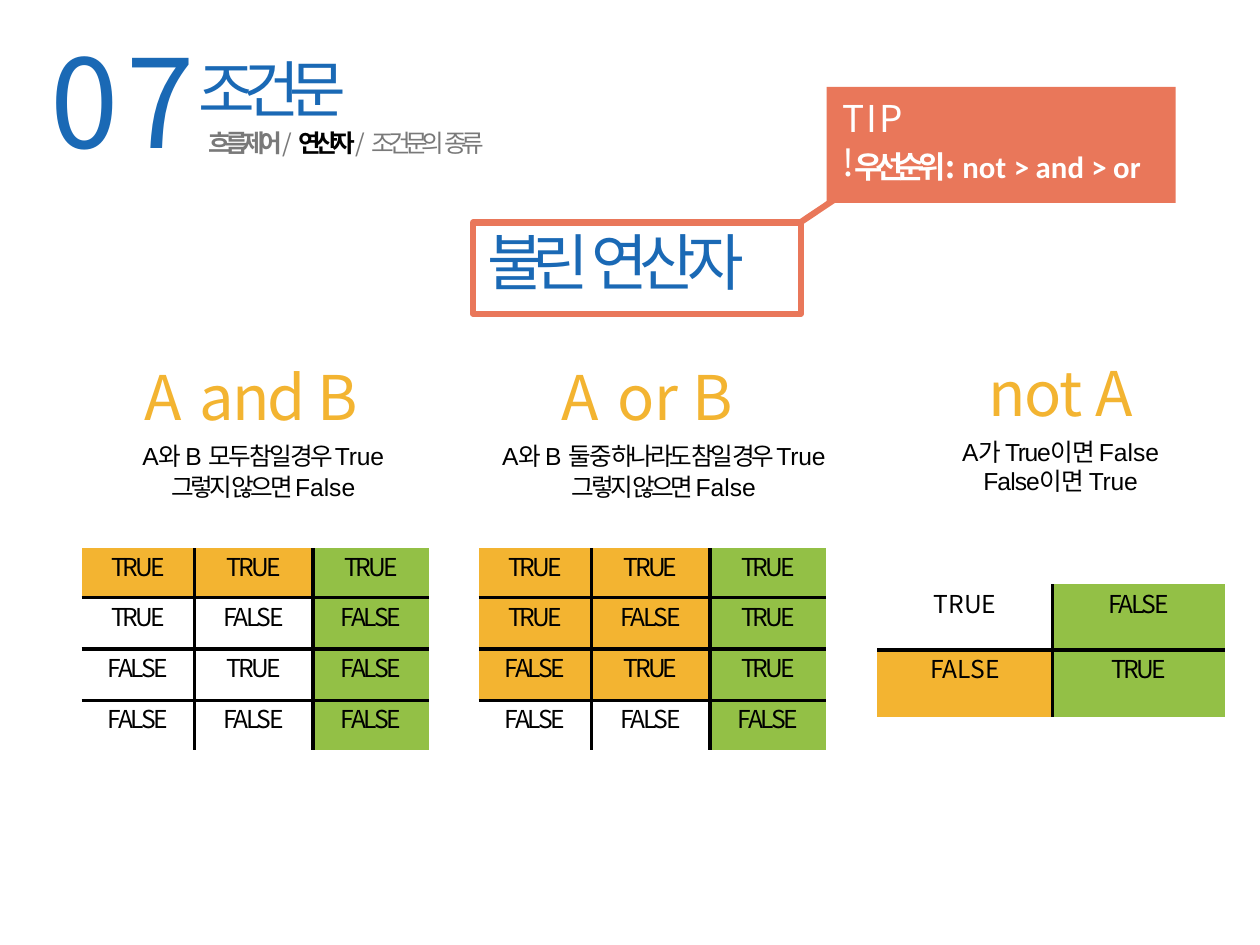
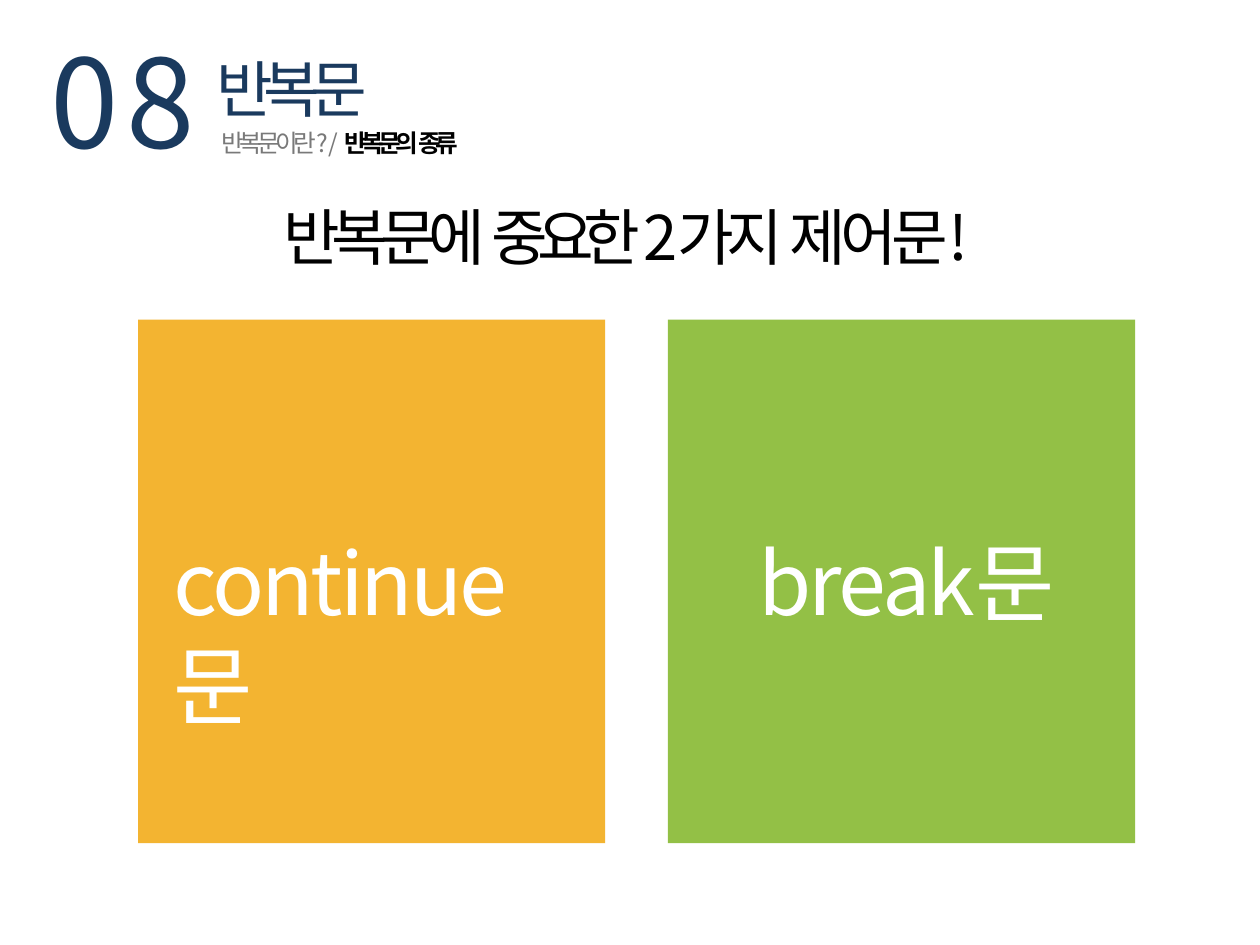
from dataclasses import dataclass
from itertools import product

from lxml.etree import SubElement
from pptx import Presentation
from pptx.dml.color import RGBColor
from pptx.enum.shapes import MSO_CONNECTOR, MSO_SHAPE
from pptx.enum.text import MSO_ANCHOR, MSO_AUTO_SIZE, PP_ALIGN
from pptx.oxml.ns import qn
from pptx.util import Cm, Pt


@dataclass(frozen=True)
class Theme:
    blue: str = "1A69B5"
    navy: str = "1A3A5E"
    orange: str = "F3B431"
    green: str = "93C046"
    coral: str = "E9775A"
    gray: str = "797979"
    black: str = "000000"
    white: str = "FFFFFF"
    font: str = "Noto Sans CJK KR"
    latin_font: str = "Arial"
    tip_font: str = "Calibri"
    number_size: int = 100
    card_size: int = 70
    heading_size: int = 50
    tip_size: int = 30
    priority_size: int = 25
    body_size: int = 20
    rule_width: int = 3
    frame_width: int = 5


THEME = Theme()
LATIN = {"font": THEME.latin_font}
CALIBRI = {"font": THEME.tip_font}
CURRENT = {"color": THEME.black, "bold": True}


def rgb(color):
    return RGBColor.from_string(color)


def write(paragraph, text, *, size=THEME.body_size, color=THEME.black,
          font=THEME.font, spacing=0, bold=False):
    """Add a run; spacing is the character spacing in points."""
    run = paragraph.add_run()
    run.text = text
    run.font.size = Pt(size)
    run.font.bold = bold
    run.font.color.rgb = rgb(color)
    run.font.name = font
    properties = run._r.get_or_add_rPr()
    properties.set("spc", str(round(spacing * 100)))
    SubElement(properties, qn("a:ea"), typeface=font)


def write_runs(paragraph, runs, **base):
    """Write (text, spacing[, changed format]) runs over a base format."""
    for text, spacing, *changes in runs:
        run_format = {**base, **(changes[0] if changes else {})}
        write(paragraph, text, spacing=spacing, **run_format)


def prepare_frame(frame, left=0, top=0, right=0):
    """Set the insets in cm and return the first paragraph."""
    frame.word_wrap = True
    frame.auto_size = MSO_AUTO_SIZE.NONE
    frame.vertical_anchor = MSO_ANCHOR.TOP
    frame.margin_left, frame.margin_top = Cm(left), Cm(top)
    frame.margin_right, frame.margin_bottom = Cm(right), Cm(0)
    paragraph = frame.paragraphs[0]
    paragraph.alignment = PP_ALIGN.LEFT
    return paragraph


def add_text(slide, left, top, width, height, runs, **base):
    box = slide.shapes.add_textbox(Cm(left), Cm(top), Cm(width), Cm(height))
    write_runs(prepare_frame(box.text_frame), runs, **base)
    return box.text_frame


def add_panel(slide, left, top, width, height, fill=None, line=None):
    panel = slide.shapes.add_shape(
        MSO_SHAPE.RECTANGLE, Cm(left), Cm(top), Cm(width), Cm(height))
    panel.shadow.inherit = False
    if fill:
        panel.fill.solid()
        panel.fill.fore_color.rgb = rgb(fill)
    else:
        panel.fill.background()
    if line:
        panel.line.color.rgb = rgb(line)
        panel.line.width = Pt(THEME.frame_width)
    else:
        panel.line.fill.background()
    return panel


def add_callout_line(slide, start, end):
    line = slide.shapes.add_connector(
        MSO_CONNECTOR.STRAIGHT, *(Cm(value) for value in start + end))
    line.line.color.rgb = rgb(THEME.coral)
    line.line.width = Pt(THEME.frame_width)
    SubElement(line._element.spPr, qn("a:effectLst"))


def add_section_slide(deck, digits, title, crumbs, color, left, crumb_left,
                      crumb_width, title_spacing):
    """Start a slide with its section number, title and breadcrumb."""
    slide = deck.slides.add_slide(deck.slide_layouts[5])
    heading = slide.shapes.title
    heading.left, heading.top = Cm(left), Cm(1.45)
    heading.width, heading.height = Cm(8), Cm(2.15)
    write(prepare_frame(heading.text_frame), title, size=THEME.heading_size,
          color=color, spacing=title_spacing)
    add_text(slide, crumb_left, 3.66, crumb_width, 1.8, crumbs,
             color=THEME.gray)
    add_text(slide, 1.45, 0.74, 4.17, 4.62, digits,
             size=THEME.number_size, color=color)
    return slide


def add_operator(slide, left, top, width, heading, lines, indent=None):
    """Add an operator's name over its rule; no indent centres the name."""
    frame = add_text(slide, left, top, width, 4.15, heading,
                     size=THEME.heading_size, color=THEME.orange)
    name = frame.paragraphs[0]
    if indent is None:
        name.alignment = PP_ALIGN.CENTER
    else:
        name._p.get_or_add_pPr().set("marL", str(Cm(indent)))
    for space, runs in zip((6, 1), lines):
        paragraph = frame.add_paragraph()
        paragraph.alignment = PP_ALIGN.CENTER
        paragraph.space_before = Pt(space)
        write_runs(paragraph, runs)


def set_borders(cell, inner_sides):
    """Rule the inner sides of a cell and leave its outer sides open."""
    properties = cell._tc.get_or_add_tcPr()
    for side in "LRTB":
        line = SubElement(properties, qn(f"a:ln{side}"),
                          w=str(Pt(THEME.rule_width)))
        if side in inner_sides:
            fill = SubElement(line, qn("a:solidFill"))
            SubElement(fill, qn("a:srgbClr"), val=THEME.black)
        else:
            SubElement(line, qn("a:noFill"))


def add_truth_table(slide, left, top, widths, heights, operator,
                    space_before=6, input_spacing=None):
    """Tabulate operator; inputs that give TRUE are orange, results green."""
    table = slide.shapes.add_table(
        len(heights), len(widths), Cm(left), Cm(top),
        Cm(sum(widths)), Cm(sum(heights))).table
    table.first_row = table.horz_banding = False
    for column, width in zip(table.columns, widths):
        column.width = Cm(width)
    for row, height in zip(table.rows, heights):
        row.height = Cm(height)
    last_row, last_column = len(heights) - 1, len(widths) - 1
    for r, inputs in enumerate(product((True, False), repeat=last_column)):
        result = operator(*inputs)
        for c, value in enumerate((*inputs, result)):
            cell = table.cell(r, c)
            set_borders(cell, {side for side, inner in (
                ("L", c > 0), ("R", c < last_column),
                ("T", r > 0), ("B", r < last_row)) if inner})
            if c == last_column or result:
                cell.fill.solid()
                cell.fill.fore_color.rgb = rgb(
                    THEME.green if c == last_column else THEME.orange)
            else:
                cell.fill.background()
            cell.margin_left = cell.margin_right = 0
            cell.margin_top = cell.margin_bottom = 0
            paragraph = cell.text_frame.paragraphs[0]
            paragraph.alignment = PP_ALIGN.CENTER
            paragraph.space_before = Pt(space_before)
            spacing = -2.4 if value else -1.9
            if c < last_column and input_spacing is not None:
                spacing = input_spacing
            write(paragraph, str(value).upper(), spacing=spacing)


def add_tip(slide):
    add_panel(slide, 23.7, 2.49, 10, 3.33, fill=THEME.coral)
    add_text(slide, 24.15, 2.74, 2.1, 1.42, [("TIP!", 1.9)],
             size=THEME.tip_size, color=THEME.white)
    add_text(slide, 24.5, 4.24, 8.7, 1.12, [
        ("우선순위 ", -6), (": ", 0.1), ("not ", 0.2, CALIBRI),
        ("> ", -0.3, CALIBRI), ("and ", 0.1, CALIBRI),
        ("> ", -0.3, CALIBRI), ("or", 0.1, CALIBRI)],
        size=THEME.priority_size, color=THEME.white, bold=True)
    add_callout_line(slide, (22.91, 6.4), (24.43, 5.38))


def build_operators(deck):
    slide = add_section_slide(
        deck, [("0", 5.9), ("7", 0.2)], "조건문",
        [("흐름제어 ", -4.5, {"bold": True}), ("/ ", 0.2),
         ("연산자 ", -4.3, CURRENT), ("/ ", 0.2),
         ("조건문의 ", -4.8), ("종류", -4.6)],
        THEME.blue, left=5.69, crumb_left=5.97, crumb_width=8.1,
        title_spacing=-9.1)
    topic = add_panel(slide, 13.56, 6.38, 9.4, 2.62, line=THEME.coral)
    write_runs(prepare_frame(topic.text_frame, left=0.41, top=0.05),
               [("불린 ", -9.3), ("연산자", -7.1)],
               size=THEME.heading_size, color=THEME.blue)
    add_tip(slide)

    subject = [("A", -1.4, LATIN), ("와 ", -1.4), ("B ", 0, LATIN)]
    true = ("True", -0.2, LATIN)
    otherwise = [("그렇지 않으면 ", -2.7), ("False", 0, LATIN)]
    add_operator(slide, 3.71, 10.31, 7.67,
                 [("A ", 1.7), ("and ", -1.8), ("B", 3)],
                 [[*subject, ("모두 참일 경우 ", -2.7), true], otherwise],
                 indent=0.43)
    add_operator(slide, 13.77, 10.31, 10.52,
                 [("A ", 1.7), ("or ", 0.1), ("B", 3)],
                 [[*subject, ("둘 중 하나라도 참일 경우 ", -2.7), true],
                  otherwise],
                 indent=2.34)
    add_operator(slide, 27.46, 10.19, 5.89, [("not ", -0.9), ("A", 1.7)],
                 [[("A", -1.4, LATIN), ("가 ", -1.4), ("True", -1.1, LATIN),
                   ("이면 ", -1.1), ("False ", 0, LATIN),
                   ("False", -0.8, LATIN), ("이면 ", -0.8), true]])

    widths, heights = (3.23, 3.4, 3.33), (1.42, 1.47, 1.47, 1.42)
    add_truth_table(slide, 2.34, 15.72, widths, heights,
                    lambda a, b: a and b)
    add_truth_table(slide, 13.72, 15.72, widths, heights,
                    lambda a, b: a or b)
    add_truth_table(slide, 25.15, 16.76, (5.03, 4.93), (1.88, 1.93),
                    lambda a: not a, space_before=13, input_spacing=0)


def build_loop_controls(deck):
    slide = add_section_slide(
        deck, [("0", 5.9), ("8", 1)], "반복문",
        [("반복문이란? ", -3.8), ("/ ", 0.2),
         ("반복문의 ", -4.5, CURRENT), ("종류", -4.6, CURRENT)],
        THEME.navy, left=6.2, crumb_left=6.35, crumb_width=7.19,
        title_spacing=-7.9)
    add_text(slide, 8.13, 5.72, 21.34, 2.34,
             [("반복문에 ", -6.7), ("중요한 ", -8.5), ("2가지 ", -6),
              ("제어문!", -4.6)], size=THEME.heading_size)
    width, gap = 13.39, 1.8
    cards = (("continue문", THEME.orange, 1.02, -2.5),
             ("break문", THEME.green, 2.59, -2.2))
    for index, (statement, fill, inset, spacing) in enumerate(cards):
        card = add_panel(slide, 3.96 + index * (width + gap), 9.17,
                         width, 15.01, fill=fill)
        write(prepare_frame(card.text_frame, left=inset, top=6, right=1.02),
              statement, size=THEME.card_size, color=THEME.white,
              spacing=spacing)


def main():
    deck = Presentation()
    deck.slide_width, deck.slide_height = Cm(36.12), Cm(27.1)
    build_operators(deck)
    build_loop_controls(deck)
    deck.save("out.pptx")


if __name__ == "__main__":
    main()
